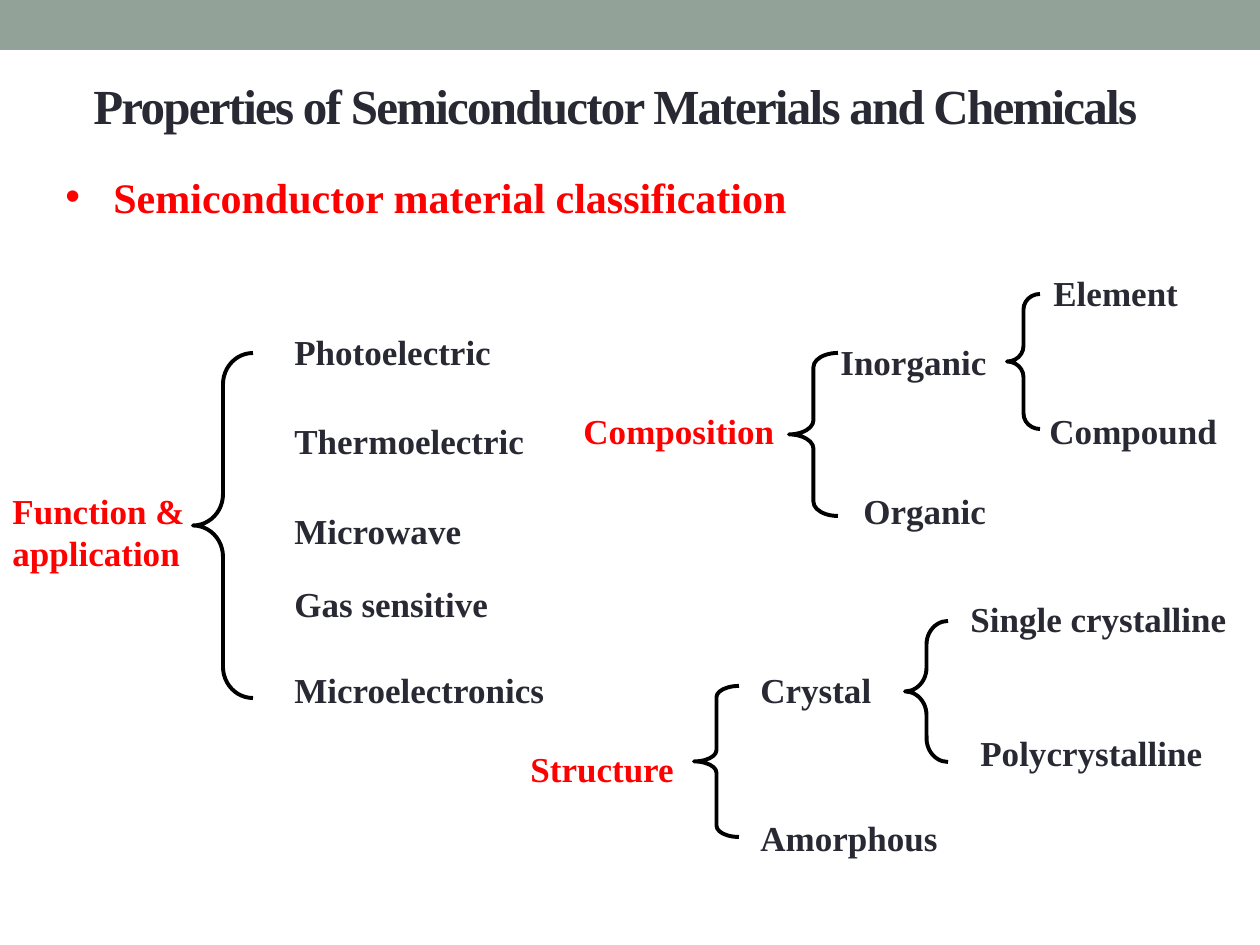
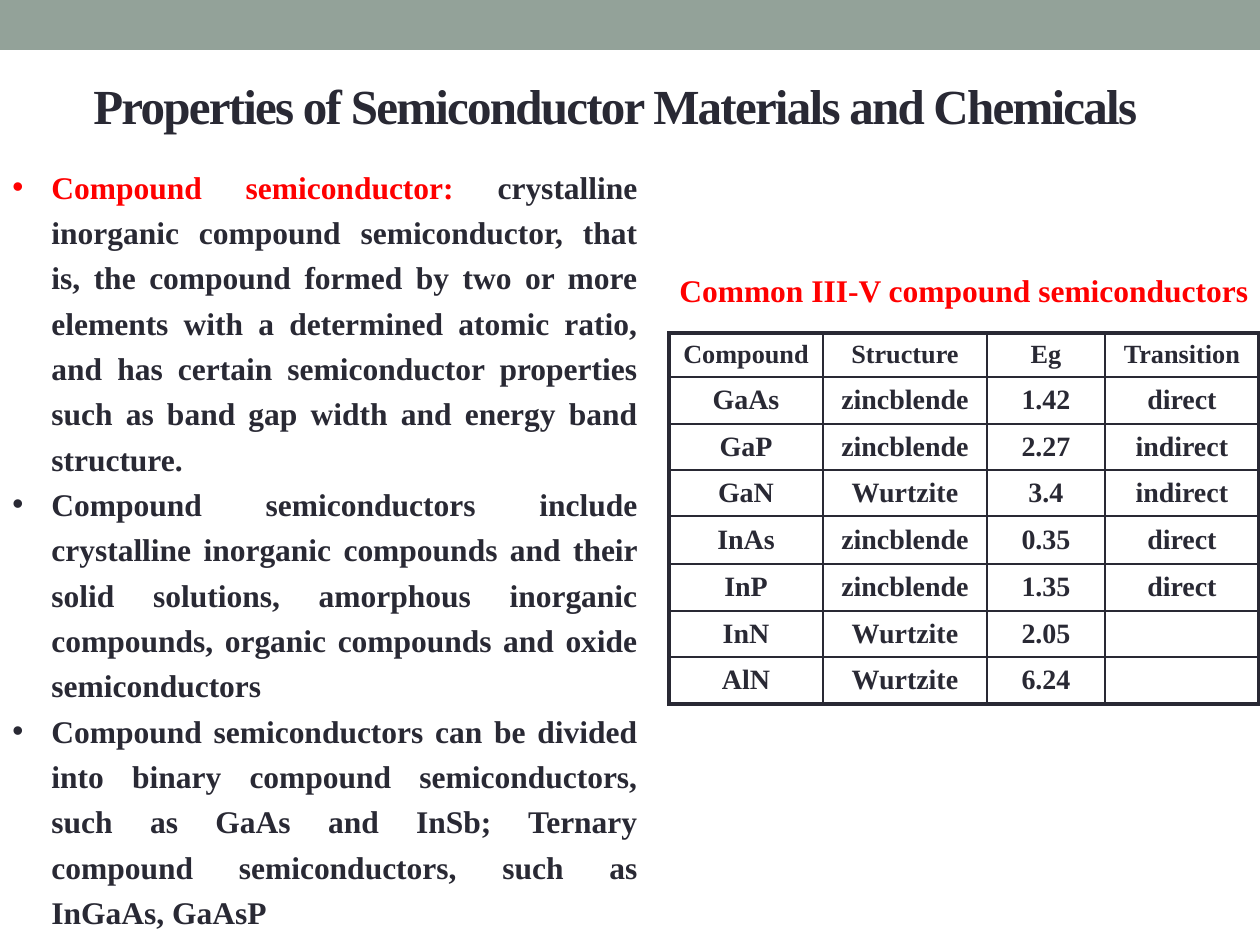
from dataclasses import dataclass

from lxml.etree import SubElement
from pptx import Presentation
from pptx.dml.color import RGBColor
from pptx.enum.shapes import MSO_SHAPE
from pptx.enum.text import MSO_ANCHOR, PP_ALIGN
from pptx.oxml.ns import qn
from pptx.util import Pt


@dataclass(frozen=True)
class Theme:
    font: str = "Times New Roman"
    ink: RGBColor = RGBColor(0x29, 0x29, 0x34)
    accent: RGBColor = RGBColor(0xFF, 0x00, 0x00)
    band: RGBColor = RGBColor(0x93, 0xA2, 0x99)
    brace: RGBColor = RGBColor(0x00, 0x00, 0x00)
    title: int = 28
    heading: int = 24
    label: int = 20
    body: int = 18
    cell: int = 16
    header: int = 15
    thin: float = 1
    thick: float = 2.25


THEME = Theme()
EMU_PER_PX = 914400 / 126


def px(*lengths):
    return [round(length * EMU_PER_PX) for length in lengths]


def write(frame, paragraphs, size, align=PP_ALIGN.LEFT, hang=0, tracking=0, spacing=None):
    """Fill a text frame; each paragraph is a list of (text, colour) runs."""
    frame.word_wrap = True
    for index, runs in enumerate(paragraphs):
        paragraph = frame.add_paragraph() if index else frame.paragraphs[0]
        for name, value in {"alignment": align, **(spacing or {})}.items():
            setattr(paragraph, name, value)
        if hang:
            properties = paragraph._p.get_or_add_pPr()
            indent = px(hang)[0]
            properties.set("marL", str(indent))
            properties.set("indent", str(-indent))
            SubElement(properties, qn("a:buFont"), typeface="Arial")
            SubElement(properties, qn("a:buChar"), char="•")
        for text, colour in runs:
            run = paragraph.add_run()
            run.text = text
            for name, value in {"name": THEME.font, "size": Pt(size), "bold": True}.items():
                setattr(run.font, name, value)
            run.font.color.rgb = colour
            if tracking:
                run._r.get_or_add_rPr().set("spc", str(tracking * 100))


deck = Presentation()
deck.slide_width, deck.slide_height = px(1260, 945)

# Shared band and title
slides = []
for _ in range(2):
    slide = deck.slides.add_slide(deck.slide_layouts[6])
    band = slide.shapes.add_shape(MSO_SHAPE.RECTANGLE, *px(0, 0, 1260, 50))
    band.shadow.inherit = False
    band.fill.solid()
    band.fill.fore_color.rgb = THEME.band
    band.line.fill.background()
    title = slide.shapes.add_textbox(*px(44, 37, 1142, 136)).text_frame
    title.vertical_anchor = MSO_ANCHOR.MIDDLE
    write(title, [[("Properties of Semiconductor Materials and Chemicals", THEME.ink)]],
          THEME.title, PP_ALIGN.CENTER, tracking=-1)
    slides.append(slide)
classification, compounds = slides

# Slide 1: heading
heading = classification.shapes.add_textbox(*px(53, 155, 1142, 68)).text_frame
write(heading, [[("Semiconductor material classification", THEME.accent)]],
      THEME.heading, PP_ALIGN.JUSTIFY, hang=48,
      spacing={"line_spacing": 1.2, "space_before": Pt(6), "space_after": Pt(12)})

# Slide 1: labels of the three trees as left, top, width
roots = {
    "Function & application": (0, 483, 198),
    "Composition": (571, 403, 222),
    "Structure": (518, 741, 170),
}
branches = {
    "Photoelectric": (282, 324, 277),
    "Thermoelectric": (282, 413, 277),
    "Microwave": (282, 503, 277),
    "Gas sensitive": (282, 576, 277),
    "Microelectronics": (282, 662, 277),
    "Inorganic": (828, 334, 173),
    "Organic": (851, 483, 149),
    "Element": (1041, 265, 219),
    "Compound": (1037, 403, 223),
    "Crystal": (748, 662, 137),
    "Amorphous": (748, 810, 204),
    "Single crystalline": (958, 591, 284),
    "Polycrystalline": (968, 725, 290),
}
for labels, colour in ((roots, THEME.accent), (branches, THEME.ink)):
    for text, (left, top, width) in labels.items():
        height = 97 if "&" in text else 55
        label = classification.shapes.add_textbox(*px(left, top, width, height)).text_frame
        label.margin_right = 0
        write(label, [[(text, colour)]], THEME.label)

# Slide 1: braces as left, top, width, height and curl
braces = [
    (193, 353, 60, 345, 0.52),
    (789, 353, 49, 163, 0.29),
    (1007, 294, 33, 135, 0.47),
    (694, 686, 45, 151, 0.25),
    (905, 621, 43, 141, 0.55),
]
for *box, curl in braces:
    brace = classification.shapes.add_shape(MSO_SHAPE.LEFT_BRACE, *px(*box))
    brace.shadow.inherit = False
    brace.adjustments[0] = curl
    brace.fill.background()
    brace.line.color.rgb = THEME.brace
    brace.line.width = Pt(THEME.thick)

# Slide 2: body text
points = [
    [("Compound semiconductor:", THEME.accent),
     (" crystalline inorganic compound semiconductor, that is, the compound formed by two or "
      "more elements with a determined atomic ratio, and has certain semiconductor properties "
      "such as band gap width and energy band structure.", THEME.ink)],
    [("Compound semiconductors include crystalline inorganic compounds and their solid "
      "solutions, amorphous inorganic compounds, organic compounds and oxide semiconductors",
      THEME.ink)],
    [("Compound semiconductors can be divided into binary compound semiconductors, such as "
      "GaAs and InSb; Ternary compound semiconductors, such as InGaAs, GaAsP", THEME.ink)],
]
body = compounds.shapes.add_textbox(*px(0, 154, 650, 791)).text_frame
write(body, points, THEME.body, PP_ALIGN.JUSTIFY, hang=39, spacing={"line_spacing": 1.2})

# Slide 2: table caption
caption = compounds.shapes.add_textbox(*px(667, 265, 593, 50)).text_frame
caption.margin_right = 0
write(caption, [[("Common III-V compound semiconductors", THEME.accent)]], THEME.body)

# Slide 2: table of compounds
rows = [
    ("Compound", "Structure", "Eg", "Transition"),
    ("GaAs", "zincblende", "1.42", "direct"),
    ("GaP", "zincblende", "2.27", "indirect"),
    ("GaN", "Wurtzite", "3.4", "indirect"),
    ("InAs", "zincblende", "0.35", "direct"),
    ("InP", "zincblende", "1.35", "direct"),
    ("InN", "Wurtzite", "2.05", ""),
    ("AlN", "Wurtzite", "6.24", ""),
]
column_widths = px(154, 164, 118, 154)
row_heights = px(44, 47, 46, 46, 48, 47, 46, 47)
table = compounds.shapes.add_table(len(rows), len(column_widths), *px(669, 333, 590, 371)).table
table.first_row = table.horz_banding = False
for column, width in zip(table.columns, column_widths):
    column.width = width
for row, height in zip(table.rows, row_heights):
    row.height = height

cell_format = {"margin_left": 0, "margin_right": 0, "margin_top": 0, "margin_bottom": 0,
               "vertical_anchor": MSO_ANCHOR.MIDDLE}
for r, values in enumerate(rows):
    for c, value in enumerate(values):
        cell = table.cell(r, c)
        for name, setting in cell_format.items():
            setattr(cell, name, setting)
        if value:
            write(cell.text_frame, [[(value, THEME.ink)]],
                  THEME.cell if r else THEME.header, PP_ALIGN.CENTER)
        outer_sides = {"lnL": c == 0, "lnR": c == len(values) - 1,
                       "lnT": r == 0, "lnB": r == len(rows) - 1}
        for side, is_outer in outer_sides.items():
            weight = Pt(THEME.thick if is_outer else THEME.thin)
            border = SubElement(cell._tc.get_or_add_tcPr(), qn(f"a:{side}"), w=str(weight))
            SubElement(SubElement(border, qn("a:solidFill")), qn("a:srgbClr"), val=str(THEME.ink))
        cell.fill.background()

deck.save("out.pptx")
